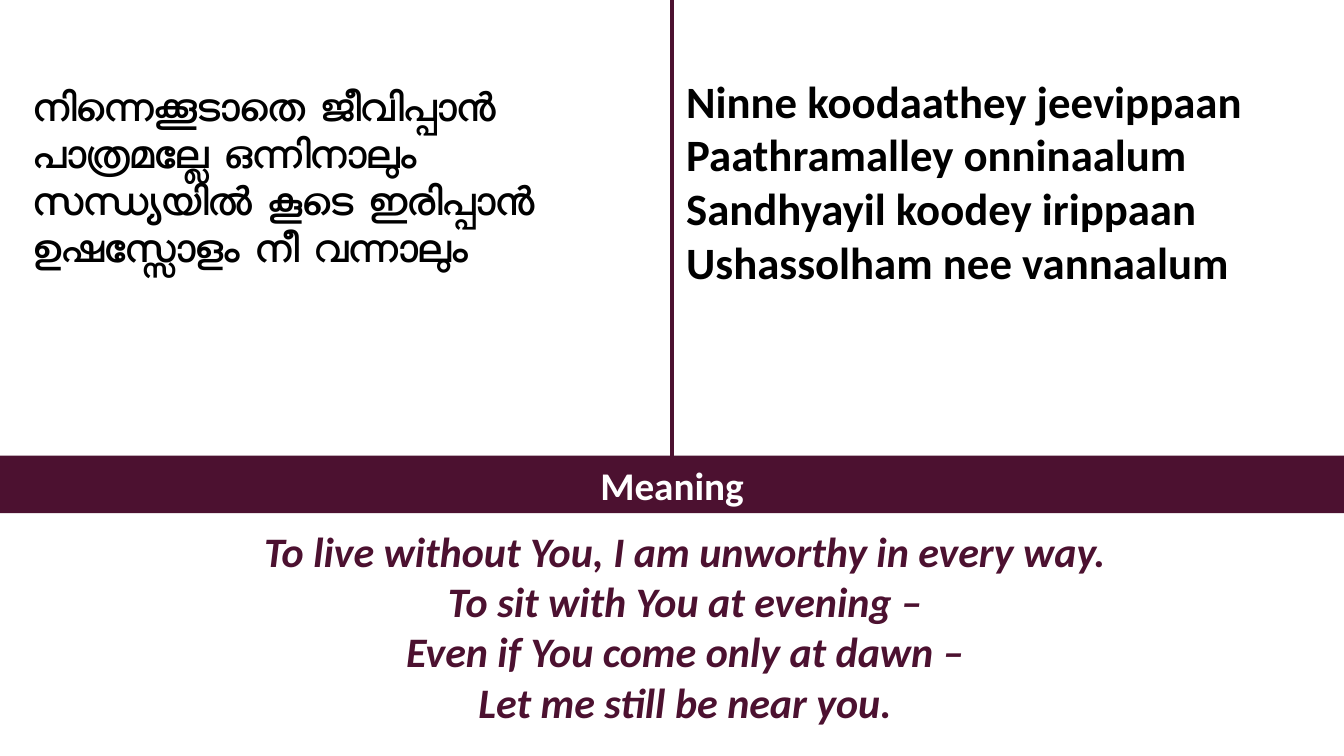
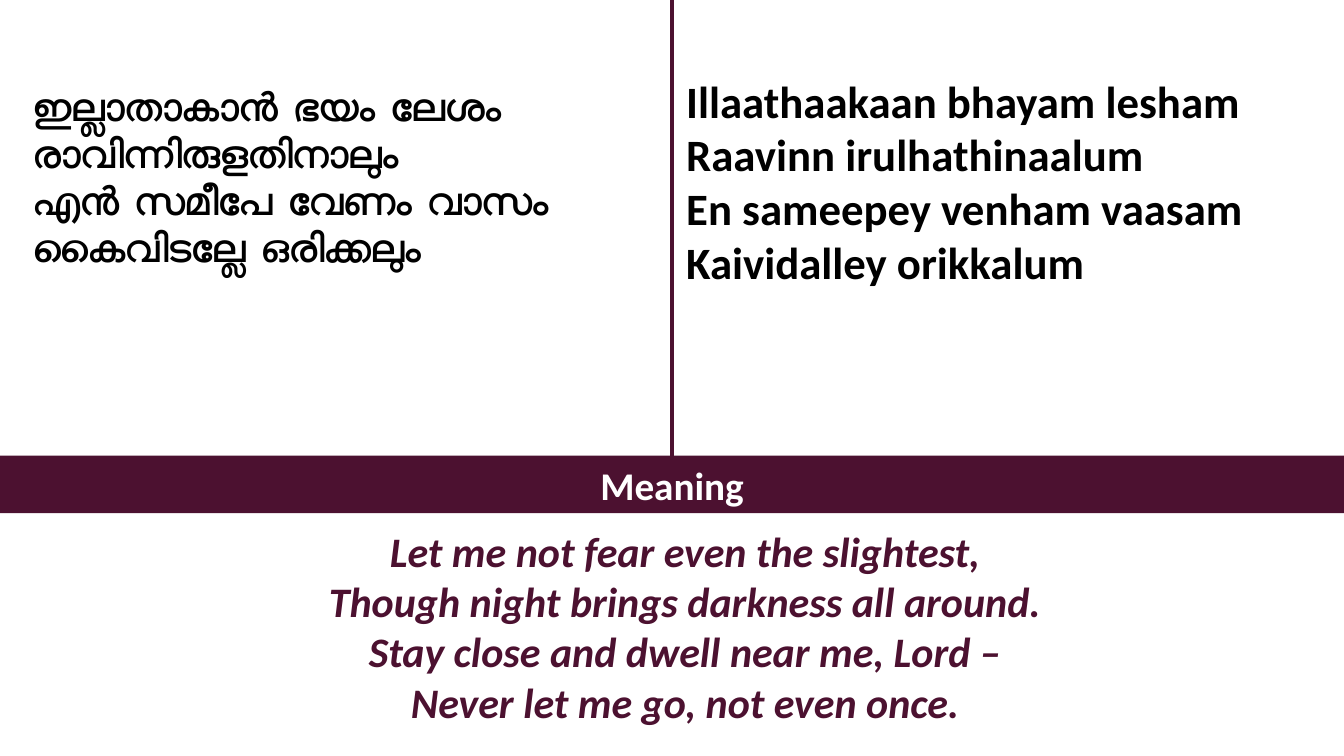
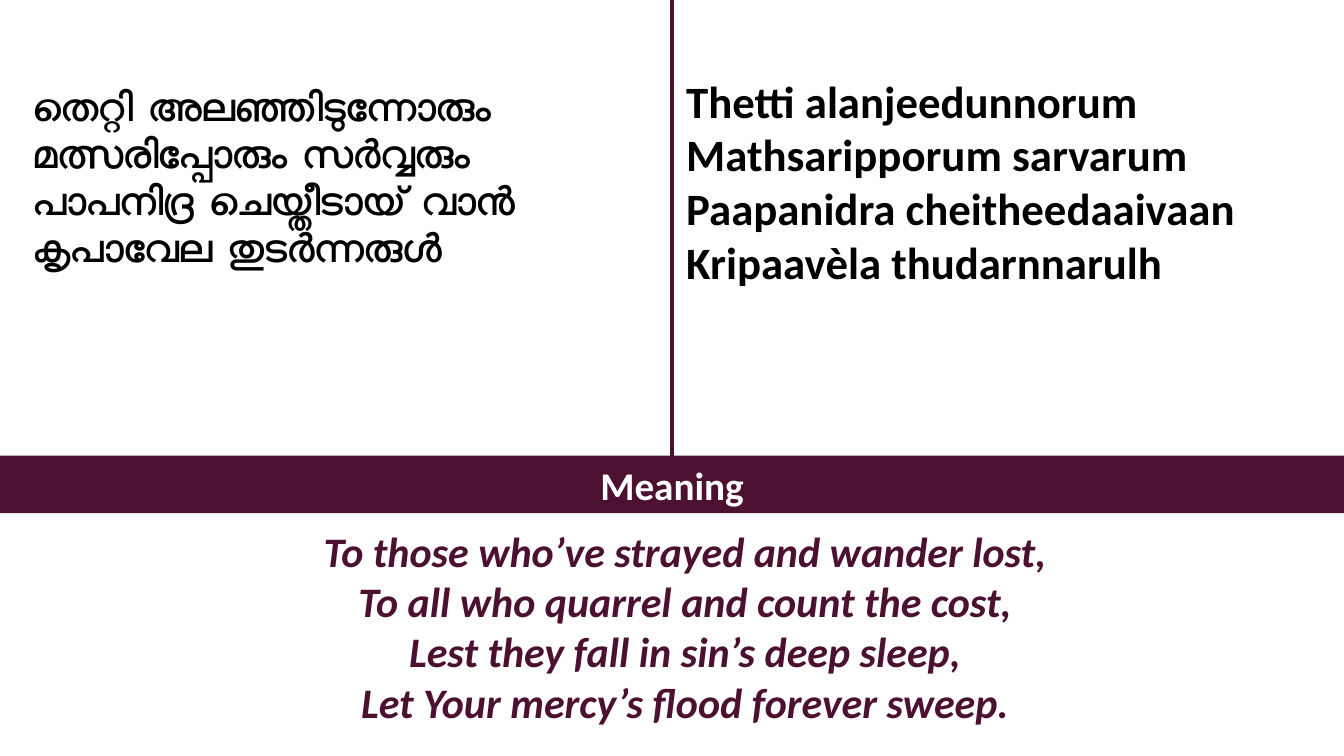
from lxml import etree
from pptx import Presentation
from pptx.dml.color import RGBColor
from pptx.enum.shapes import MSO_CONNECTOR, MSO_SHAPE
from pptx.enum.text import MSO_ANCHOR, MSO_AUTO_SIZE, PP_ALIGN
from pptx.oxml.ns import qn
from pptx.util import Pt

LEFT, CENTER = PP_ALIGN.LEFT, PP_ALIGN.CENTER
TOP, MIDDLE = MSO_ANCHOR.TOP, MSO_ANCHOR.MIDDLE
NO_AUTOFIT = MSO_AUTO_SIZE.NONE
RECTANGLE = MSO_SHAPE.RECTANGLE
STRAIGHT = MSO_CONNECTOR.STRAIGHT
TITLE_ONLY = 5

COLORS = {"maroon": "4C1130", "black": "000000", "white": "FFFFFF"}
TITLE_FONT, BODY_FONT = "Lato", "Calibri"

# Shared geometry in points
SLIDE_WIDTH, SLIDE_HEIGHT = 960, 540
BAND_TOP, BAND_HEIGHT = 325.5, 41
TITLE_BOX = (16.5, 5, 444, 325.5)
TRANSLITERATION_BOX = (481.5, 48, 470, 251)
MEANING_BOX = (75.5, 371.5, 828, 152.5)

# Each verse: Malayalam, transliteration, meaning
VERSES = [
    (
        ["നിന്നെക്കൂടാതെ ജീവിപ്പാൻ", "പാത്രമല്ലേ ഒന്നിനാലും",
         "സന്ധ്യയിൽ കൂടെ ഇരിപ്പാൻ", "ഉഷസ്സോളം നീ വന്നാലും"],
        ["Ninne koodaathey jeevippaan", "Paathramalley onninaalum",
         "Sandhyayil koodey irippaan", "Ushassolham nee vannaalum"],
        ["To live without You, I am unworthy in every way.",
         "To sit with You at evening –",
         "Even if You come only at dawn –",
         "Let me still be near you."],
    ),
    (
        ["ഇല്ലാതാകാൻ ഭയം ലേശം", "രാവിന്നിരുളതിനാലും",
         "എൻ സമീപേ വേണം വാസം", "കൈവിടല്ലേ ഒരിക്കലും"],
        ["Illaathaakaan bhayam lesham", "Raavinn irulhathinaalum",
         "En sameepey venham vaasam", "Kaividalley orikkalum"],
        ["Let me not fear even the slightest,",
         "Though night brings darkness all around.",
         "Stay close and dwell near me, Lord –",
         "Never let me go, not even once."],
    ),
    (
        ["തെറ്റി അലഞ്ഞിടുന്നോരും", "മത്സരിപ്പോരും സർവ്വരും",
         "പാപനിദ്ര ചെയ്തീടായ് വാൻ", "കൃപാവേല തുടർന്നരുൾ"],
        ["Thetti alanjeedunnorum", "Mathsaripporum sarvarum",
         "Paapanidra cheitheedaaivaan", "Kripaavèla thudarnnarulh"],
        ["To those who’ve strayed and wander lost,",
         "To all who quarrel and count the cost,",
         "Lest they fall in sin’s deep sleep,",
         "Let Your mercy’s flood forever sweep."],
    ),
]


def color(name):
    return RGBColor.from_string(COLORS[name])


def write_lines(text_frame, lines, font_name, size, color_name,
                alignment=LEFT, italic=False, insets=(7.2, 3.6)):
    """Fill a text frame with one bold paragraph per line."""
    text_frame.word_wrap = True
    text_frame.auto_size = NO_AUTOFIT
    text_frame.margin_left = text_frame.margin_right = Pt(insets[0])
    text_frame.margin_top = text_frame.margin_bottom = Pt(insets[1])
    text_frame.text = "\n".join(lines)
    for paragraph in text_frame.paragraphs:
        paragraph.alignment = alignment
        font = paragraph.font
        font.name, font.size = font_name, Pt(size)
        font.bold, font.italic = True, italic
        font.color.rgb = color(color_name)


def add_title(slide, lines):
    title = slide.shapes.title
    title.left, title.top, title.width, title.height = map(Pt, TITLE_BOX)
    text_frame = title.text_frame
    write_lines(text_frame, lines[:1], TITLE_FONT, 28, "black")
    text_frame.vertical_anchor = TOP
    text_frame.margin_top = Pt(54)
    # Line breaks keep the verse in one paragraph
    paragraph = text_frame.paragraphs[0]
    paragraph.line_spacing = Pt(33.6)
    for line in lines[1:]:
        paragraph.add_line_break()
        paragraph.add_run().text = line


def add_text(slide, box, lines, size, color_name, **style):
    shape = slide.shapes.add_textbox(*map(Pt, box))
    write_lines(shape.text_frame, lines, BODY_FONT, size, color_name, **style)


def add_band(slide, label):
    band = slide.shapes.add_shape(
        RECTANGLE, 0, Pt(BAND_TOP), Pt(SLIDE_WIDTH), Pt(BAND_HEIGHT))
    band.shadow.inherit = False
    band.fill.solid()
    band.fill.fore_color.rgb = color("maroon")
    band.line.fill.background()
    write_lines(band.text_frame, [label], BODY_FONT, 28, "white", CENTER)
    band.text_frame.vertical_anchor = MIDDLE


def add_divider(slide):
    middle = Pt(SLIDE_WIDTH / 2)
    divider = slide.shapes.add_connector(
        STRAIGHT, middle, 0, middle, Pt(BAND_TOP))
    divider.line.color.rgb = color("maroon")
    divider.line.width = Pt(3)
    etree.SubElement(divider._element.spPr, qn("a:effectLst"))


def add_verse_slide(presentation, malayalam, transliteration, meaning):
    layout = presentation.slide_layouts[TITLE_ONLY]
    slide = presentation.slides.add_slide(layout)
    add_title(slide, malayalam)
    add_text(slide, TRANSLITERATION_BOX, transliteration, 32, "black",
             insets=(8.64, 4.32))
    add_text(slide, MEANING_BOX, meaning, 30, "maroon",
             alignment=CENTER, italic=True)
    add_band(slide, "Meaning")
    add_divider(slide)


def main():
    presentation = Presentation()
    presentation.slide_width = Pt(SLIDE_WIDTH)
    presentation.slide_height = Pt(SLIDE_HEIGHT)
    for verse in VERSES:
        add_verse_slide(presentation, *verse)
    presentation.save("out.pptx")


if __name__ == "__main__":
    main()
